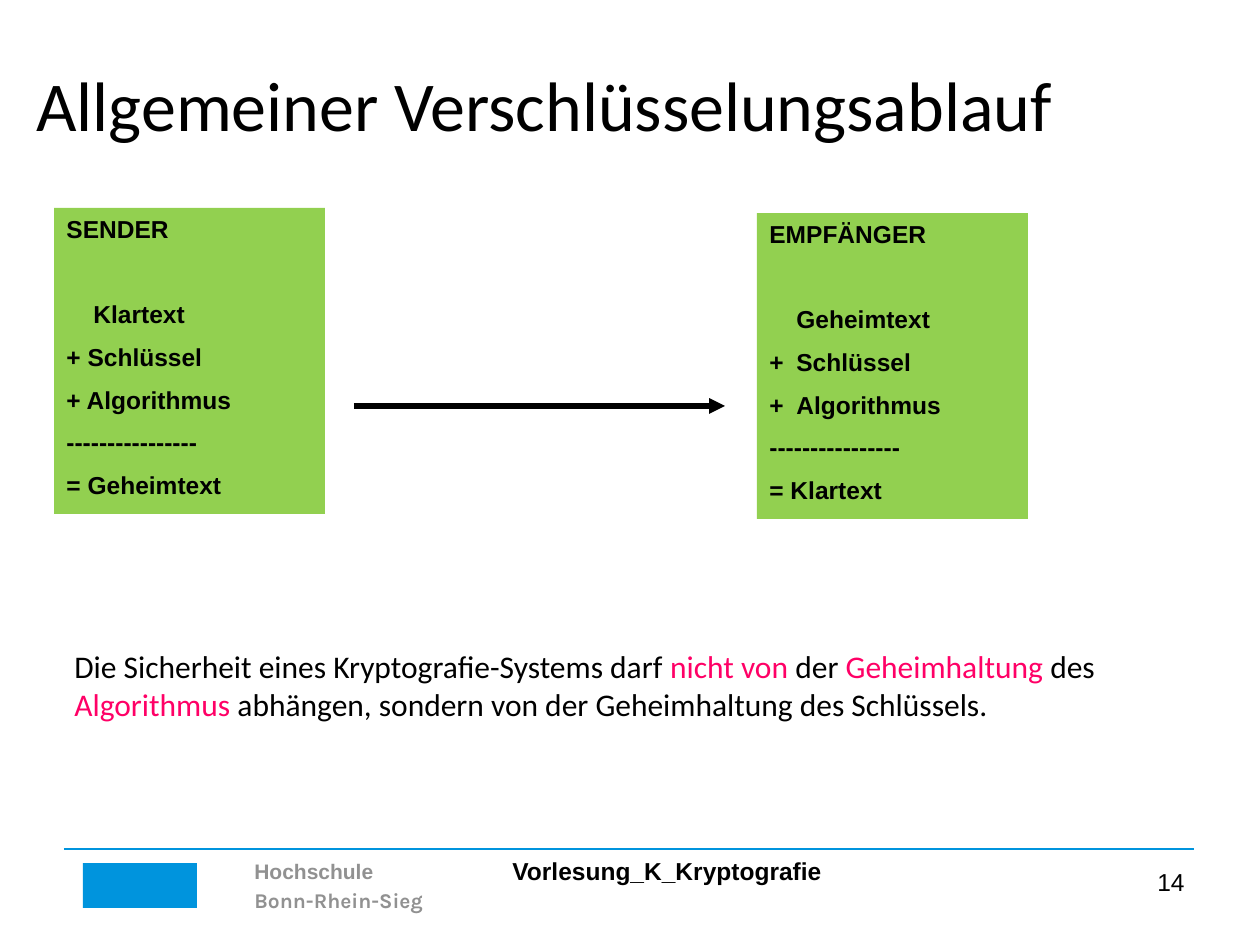
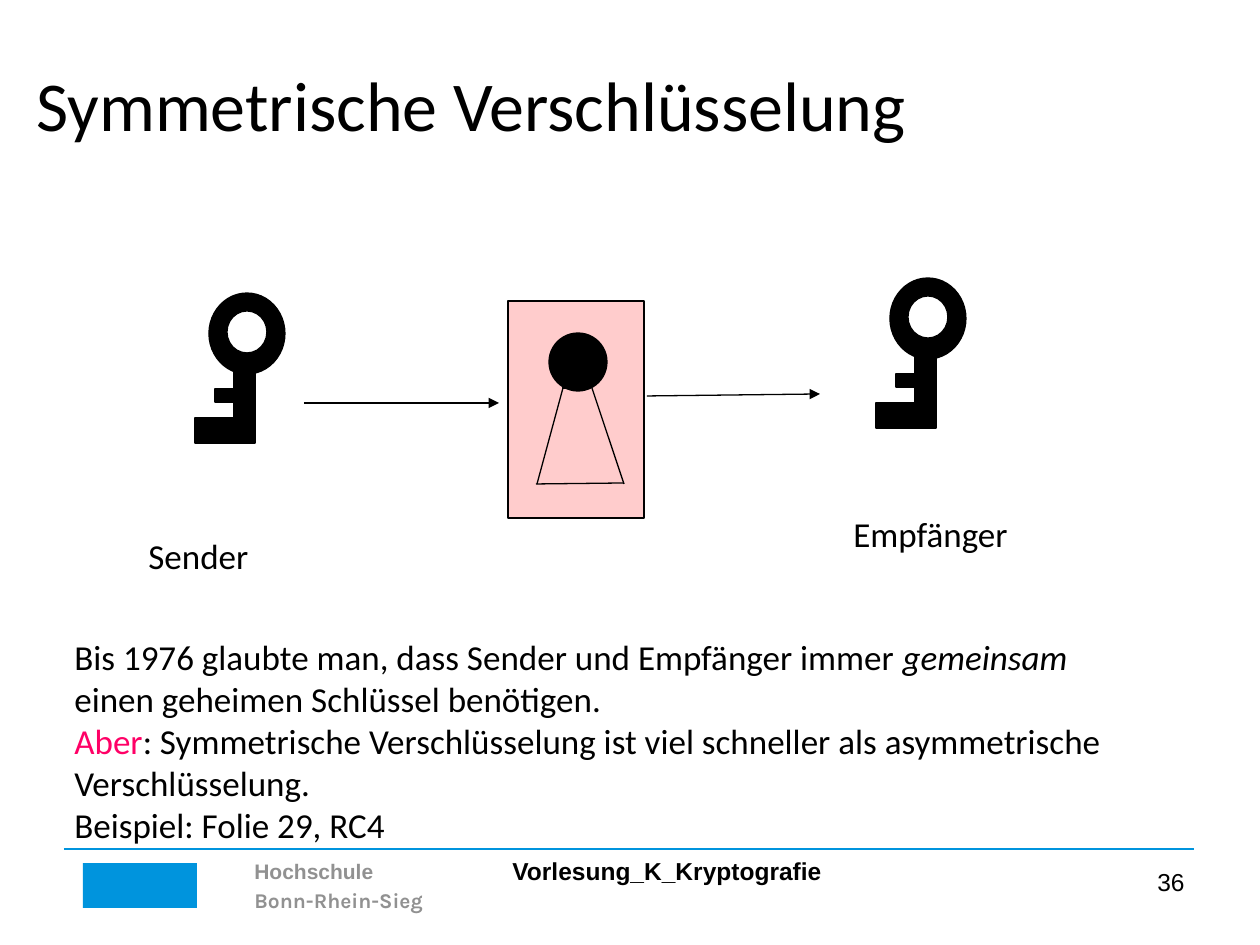
import pptx
import pptx.dml.color
import pptx.enum.shapes
import pptx.enum.text
import pptx.oxml
import pptx.oxml.ns
import pptx.util

EMU_PER_PX = 914400 / 126
BLACK, WHITE, BLUE, GREY = "000000", "FFFFFF", "0094DD", "919191"
GREEN, ROSE, PINK = "92D050", "FFCCCC", "FF0066"
RECTANGLE = pptx.enum.shapes.MSO_SHAPE.RECTANGLE
OVAL = pptx.enum.shapes.MSO_SHAPE.OVAL
RIGHT = pptx.enum.text.PP_ALIGN.RIGHT
MIDDLE = pptx.enum.text.MSO_ANCHOR.MIDDLE
STEP_SPACE = 7.7
STEP_PITCH = 23.8
TITLE_SHADOW = ('<a:effectLst %s><a:outerShdw dist="38100" dir="2700000"><a:srgbClr val="C0C0C0"/>'
                '</a:outerShdw></a:effectLst>' % pptx.oxml.ns.nsdecls("a"))
KEY_PARTS = [
    (RECTANGLE, (39, 78, 21, 72), BLACK),
    (RECTANGLE, (0, 125, 43, 25), BLACK),
    (OVAL, (14, 0, 76, 81), BLACK),
    (RECTANGLE, (20, 96, 19, 13), BLACK),
    (OVAL, (32, 18, 40, 42), WHITE),
]


def px(*lengths):
    """Turn pixel lengths into EMU."""
    return [pptx.util.Emu(round(length * EMU_PER_PX)) for length in lengths]


def color(value):
    """Turn a hex string into a colour."""
    return pptx.dml.color.RGBColor.from_string(value)


def style_font(font, name, size, fill, bold=False, italic=False):
    """Set the look of a font."""
    font.name, font.size, font.bold, font.italic = name, pptx.util.Pt(size), bold, italic
    font.color.rgb = color(fill)


def add_xml(parent, tag, **attributes):
    """Append a drawing element to a parent element."""
    element = parent.makeelement(pptx.oxml.ns.qn("a:" + tag), attributes)
    parent.append(element)
    return element


def add_text(slide, box, paragraphs, name, size, fill=BLACK, bold=False, wrap=True, spacing=None):
    """Add a text box whose paragraphs are lists of (text, style changes) runs."""
    text_box = slide.shapes.add_textbox(*px(*box))
    frame = text_box.text_frame
    frame.word_wrap = wrap
    for index, runs in enumerate(paragraphs):
        paragraph = frame.add_paragraph() if index else frame.paragraphs[0]
        paragraph.line_spacing = spacing
        for text, changes in runs:
            run = paragraph.add_run()
            run.text = text
            style = dict(name=name, size=size, fill=fill, bold=bold)
            style_font(run.font, **{**style, **changes})
    return text_box


def add_figure(shapes, kind, box, fill, outline=None):
    """Add a filled preset shape, outlined if a colour is given."""
    shape = shapes.add_shape(kind, *px(*box))
    shape.shadow.inherit = False
    shape.fill.solid()
    shape.fill.fore_color.rgb = color(fill)
    if outline:
        shape.line.color.rgb = color(outline)
        shape.line.width = pptx.util.Pt(0.75)
    else:
        shape.line.fill.background()
    return shape


def add_line(slide, ends, width=0.75, fill=BLACK, arrow=False):
    """Add a straight line, with an arrowhead at its end if wanted."""
    connector = slide.shapes.add_connector(pptx.enum.shapes.MSO_CONNECTOR.STRAIGHT, *px(*ends))
    connector.line.color.rgb = color(fill)
    connector.line.width = pptx.util.Pt(width)
    if arrow:
        add_xml(connector.line._get_or_add_ln(), "tailEnd", type="triangle")
    add_xml(connector._element.spPr, "effectLst")


def add_party(slide, left, top, heading, steps):
    """Add a green box with a heading and its calculation steps."""
    party = add_figure(slide.shapes, RECTANGLE, (left, top, 271, 306), GREEN)
    frame = party.text_frame
    frame.word_wrap = True
    frame.vertical_anchor = pptx.enum.text.MSO_ANCHOR.TOP
    frame.text = "\n".join([heading] + steps)
    indent = px(27)[0]
    for index, paragraph in enumerate(frame.paragraphs):
        paragraph.alignment = pptx.enum.text.PP_ALIGN.LEFT
        if index:
            extra = STEP_PITCH if index == 1 else 0
            paragraph.space_before = pptx.util.Pt(STEP_SPACE + extra)
        properties = paragraph._p.get_or_add_pPr()
        if index == 1:
            properties.set("marL", str(indent))
        if "\t" in paragraph.text:
            tabs = add_xml(properties, "tabLst")
            add_xml(tabs, "tab", pos=str(indent), algn="l")
        for run in paragraph.runs:
            style_font(run.font, "Arial", 14, BLACK, bold=True)


def add_key(slide, left, top):
    """Add a grouped key."""
    group = slide.shapes.add_group_shape()
    for kind, (x, y, width, height), fill in KEY_PARTS:
        add_figure(group.shapes, kind, (left + x, top + y, width, height), fill, BLACK)


def add_lock(slide):
    """Add the lock plate with its keyhole."""
    add_figure(slide.shapes, RECTANGLE, (508, 301, 136, 217), ROSE, BLACK)
    add_figure(slide.shapes, OVAL, (549, 333, 58, 58), BLACK, BLACK)
    for ends in [(563, 388, 537, 484), (536, 484, 624, 483), (592, 388, 624, 484), (562, 388, 590, 388)]:
        add_line(slide, ends)


def add_slide(presentation, title, number):
    """Add a slide with the shared title and footer."""
    slide = presentation.slides.add_slide(presentation.slide_layouts[6])
    add_figure(slide.shapes, RECTANGLE, (83, 863, 114, 45), BLUE)
    add_text(slide, (242, 849, 319, 71),
             [[("Hochschule", {})], [("Bonn-Rhein-Sieg", {"name": "Karla"})]],
             "Arial", 12, GREY, bold=True, spacing=1.15)
    add_line(slide, (64, 849, 1194, 849), 1, BLUE)
    add_text(slide, (500, 845, 360, 47), [[("Vorlesung_K_Kryptografie", {})]],
             "Arial", 14, bold=True, spacing=1.15)
    number_box = add_text(slide, (903, 861, 294, 66), [[(number, {})]], "Arial", 14)
    number_box.text_frame.paragraphs[0].alignment = RIGHT
    title_box = add_text(slide, (24, 35, 1173, 137), [[(title, {})]], "Calibri", 40)
    title_box.text_frame.vertical_anchor = MIDDLE
    run = title_box.text_frame.paragraphs[0].runs[0]
    run.font.fill._xPr.find(pptx.oxml.ns.qn("a:solidFill")).addnext(pptx.oxml.parse_xml(TITLE_SHADOW))
    return slide


def build_process_slide(presentation):
    """Build the slide on the general encryption process."""
    slide = add_slide(presentation, "Allgemeiner Verschlüsselungsablauf", "14")
    pink = {"fill": PINK}
    add_text(slide, (62, 641, 1081, 89), [[
        ("Die Sicherheit eines Kryptografie-Systems darf ", {}), ("nicht von", pink),
        (" der ", {}), ("Geheimhaltung", pink), (" des ", {}), ("Algorithmus", pink),
        (" abhängen, sondern von der Geheimhaltung des Schlüssels.", {})]], "Calibri", 18)
    rule = "-" * 16
    add_party(slide, 54, 208, "SENDER",
              ["Klartext", "+ Schlüssel", "+ Algorithmus", rule, "= Geheimtext"])
    add_party(slide, 757, 213, "EMPFÄNGER",
              ["Geheimtext", "+\tSchlüssel", "+\tAlgorithmus", rule, "= Klartext"])
    add_line(slide, (354, 406, 725, 406), 3, arrow=True)


def build_symmetric_slide(presentation):
    """Build the slide on symmetric encryption."""
    slide = add_slide(presentation, "Symmetrische Verschlüsselung", "36")
    add_lock(slide)
    add_key(slide, 195, 293)
    add_key(slide, 876, 278)
    add_line(slide, (304, 403, 499, 403), arrow=True)
    add_line(slide, (647, 396, 820, 394), arrow=True)
    add_text(slide, (136, 528, 127, 55), [[("Sender", {})]], "Calibri", 20, wrap=False)
    add_text(slide, (841, 506, 181, 55), [[("Empfänger", {})]], "Calibri", 20, wrap=False)
    add_text(slide, (62, 629, 1086, 224), [
        [("Bis 1976 glaubte man, dass Sender und Empfänger immer ", {}),
         ("gemeinsam", {"italic": True}), (" einen geheimen Schlüssel benötigen.", {})],
        [("Aber", {"fill": PINK}),
         (": Symmetrische Verschlüsselung ist viel schneller als asymmetrische Verschlüsselung.", {})],
        [("Beispiel: Folie 29, RC4", {})]], "Calibri", 20)


def main():
    """Build and save the presentation."""
    presentation = pptx.Presentation()
    presentation.slide_width, presentation.slide_height = px(1260, 945)
    build_process_slide(presentation)
    build_symmetric_slide(presentation)
    presentation.save("out.pptx")


if __name__ == "__main__":
    main()
